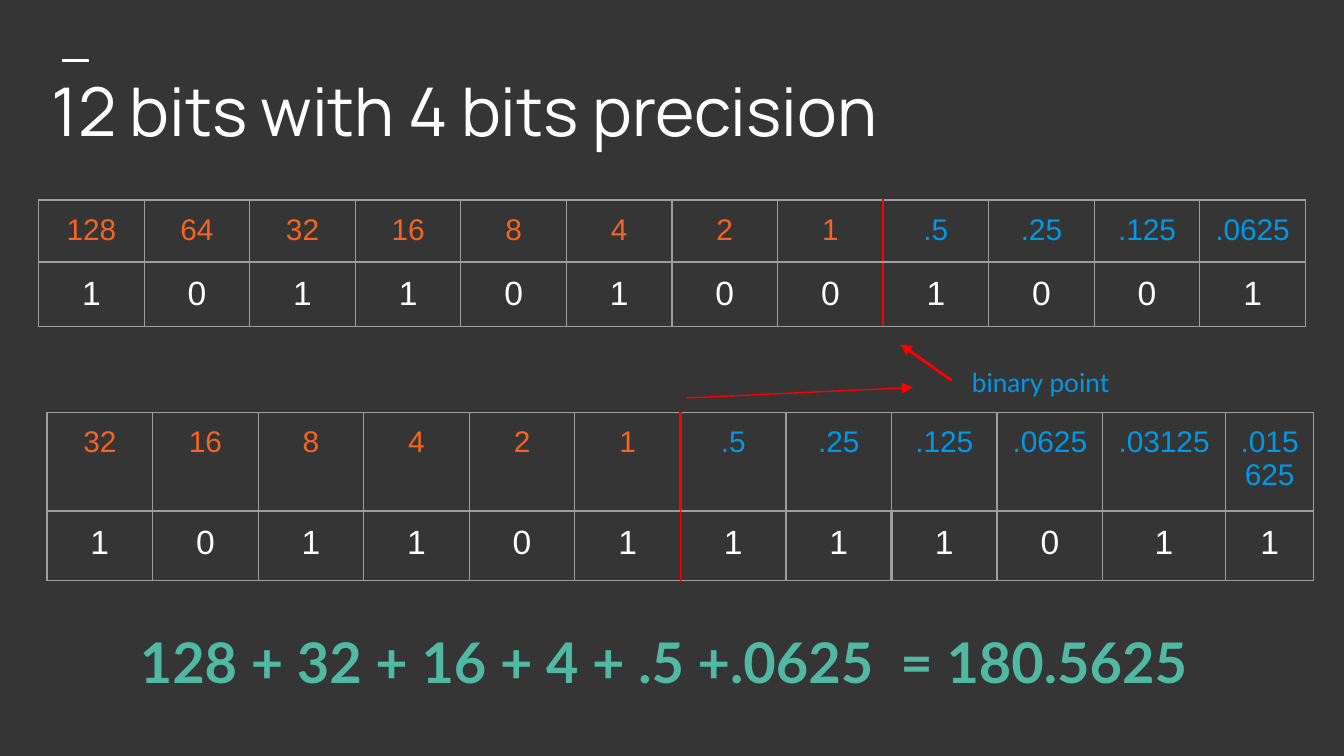
from dataclasses import dataclass

from lxml.etree import SubElement
from pptx import Presentation
from pptx.dml.color import RGBColor
from pptx.enum.shapes import MSO_CONNECTOR as CONN
from pptx.enum.text import MSO_ANCHOR as ANCHOR, PP_ALIGN as ALIGN
from pptx.oxml.ns import qn
from pptx.util import Pt

DARK, WHITE, GRAY, RED = "353535", "FFFFFF", "9E9E9E", "FF0000"
ORANGE, BLUE, GREEN = "F46524", "0099E8", "51B9A3"
INSET = 7.2
COL = 56.56
FRAME = 236.2


@dataclass
class Label:
    text: str
    left: float
    top: float
    width: float
    height: float
    font: str
    size: float
    color: str
    bold: bool = False
    align: ALIGN = ALIGN.LEFT
    anchor: ANCHOR = ANCHOR.TOP
    right_inset: float = INSET
    bottom_inset: float = INSET
    space_after: float = 0


@dataclass
class Line:
    x1: float
    y1: float
    x2: float
    y2: float
    color: str
    width: float
    arrow: bool = True


@dataclass
class BitTable:
    left: float
    top: float
    widths: list[float]
    heights: list[float]
    weights: list[str]
    bits: str
    rules: dict[tuple[int, int], tuple[str, float]]


def rgb(color: str) -> RGBColor:
    return RGBColor.from_string(color)


def style(p, font: str, size: float, color: str, bold: bool = False) -> None:
    p.font.name = font
    p.font.size = Pt(size)
    p.font.bold = bold
    p.font.color.rgb = rgb(color)


def add_label(slide, label: Label) -> None:
    box = slide.shapes.add_textbox(
        Pt(label.left), Pt(label.top), Pt(label.width), Pt(label.height))
    tf = box.text_frame
    tf.word_wrap = True
    tf.vertical_anchor = label.anchor
    tf.margin_left = tf.margin_top = Pt(INSET)
    tf.margin_right = Pt(label.right_inset)
    tf.margin_bottom = Pt(label.bottom_inset)
    p = tf.paragraphs[0]
    p.text = label.text
    p.alignment = label.align
    p.space_after = Pt(label.space_after)
    style(p, label.font, label.size, label.color, label.bold)


def add_line(slide, line: Line) -> None:
    cxn = slide.shapes.add_connector(
        CONN.STRAIGHT, Pt(line.x1), Pt(line.y1), Pt(line.x2), Pt(line.y2))
    cxn.line.color.rgb = rgb(line.color)
    cxn.line.width = Pt(line.width)
    if line.arrow:
        SubElement(cxn.line._get_or_add_ln(), qn("a:tailEnd"), type="triangle")
    SubElement(cxn._element.spPr, qn("a:effectLst"))


def add_border(cell, side: str, color: str, width: float) -> None:
    tc_pr = cell._tc.get_or_add_tcPr()
    ln = SubElement(tc_pr, qn(f"a:ln{side}"), w=str(Pt(width)))
    fill = SubElement(ln, qn("a:solidFill"))
    SubElement(fill, qn("a:srgbClr"), val=color)


def add_bit_table(slide, spec: BitTable) -> None:
    rows = [spec.weights, list(spec.bits)]
    frame = slide.shapes.add_table(
        len(rows), len(spec.widths), Pt(spec.left), Pt(spec.top),
        Pt(FRAME), Pt(FRAME))
    table = frame.table
    table.first_row = table.horz_banding = False
    for column, width in zip(table.columns, spec.widths):
        column.width = Pt(width)
    for row, height in zip(table.rows, spec.heights):
        row.height = Pt(height)
    frame.width = frame.height = Pt(FRAME)
    plain = (GRAY, 0.75)
    for r, texts in enumerate(rows):
        for c, text in enumerate(texts):
            cell = table.cell(r, c)
            cell.margin_left = cell.margin_right = Pt(INSET)
            cell.margin_top = cell.margin_bottom = Pt(INSET)
            add_border(cell, "L", *spec.rules.get((r, c - 1), plain))
            add_border(cell, "R", *spec.rules.get((r, c), plain))
            add_border(cell, "T", *plain)
            add_border(cell, "B", *plain)
            cell.fill.background()
            p = cell.text_frame.paragraphs[0]
            p.text = text
            p.alignment = ALIGN.CENTER
            if r == 0:
                style(p, "Arial", 16, BLUE if text.startswith(".") else ORANGE)
            else:
                style(p, "Arial", 18, WHITE)


def place_values(whole: int, fractions: str) -> list[str]:
    return [str(2 ** n) for n in reversed(range(whole))] + fractions.split()


def main() -> None:
    prs = Presentation()
    prs.slide_width, prs.slide_height = Pt(720), Pt(405)
    slide = prs.slides.add_slide(prs.slide_layouts[6])
    slide.background.fill.solid()
    slide.background.fill.fore_color.rgb = rgb(DARK)

    add_line(slide, Line(33.5, 32.4, 47.9, 32.4, WHITE, 1.5, arrow=False))
    add_bit_table(slide, BitTable(
        20.7, 107.1, [COL] * 12, [33.3, 33.3],
        place_values(8, ".5 .25 .125 .0625"), "101101001001",
        {(0, 7): (RED, 1.5), (1, 7): (RED, 1.5)}))
    add_label(slide, Label(
        "12 bits with 4 bits precision", 20.7, 30.7, 679, 56.2, "Manrope", 36,
        WHITE, anchor=ANCHOR.MIDDLE, space_after=10))
    add_label(slide, Label(
        "128 + 32 + 16 + 4 + .5 +.0625  = 180.5625", 58.8, 321.1, 602, 60.5,
        "Lato", 30, GREEN, bold=True, align=ALIGN.CENTER,
        anchor=ANCHOR.BOTTOM, right_inset=15.6, bottom_inset=9.2))
    add_line(slide, Line(509.8, 203.8, 482.4, 184.5, RED, 1.5))
    add_label(slide, Label(
        "binary point", 513.6, 189, 92.9, 31.7, "Lato", 14, BLUE))
    add_bit_table(slide, BitTable(
        25.2, 220.9, [COL] * 10 + [65.8, 47.3], [35.3, 37.4],
        place_values(6, ".5 .25 .125 .0625 .03125 .015625"), "101101111011",
        {(0, 5): (RED, 1.5), (1, 5): (RED, 0.75), (1, 7): (GRAY, 1.5)}))
    add_line(slide, Line(367.9, 213.2, 489.1, 207.6, RED, 0.75))

    prs.save("out.pptx")


if __name__ == "__main__":
    main()
